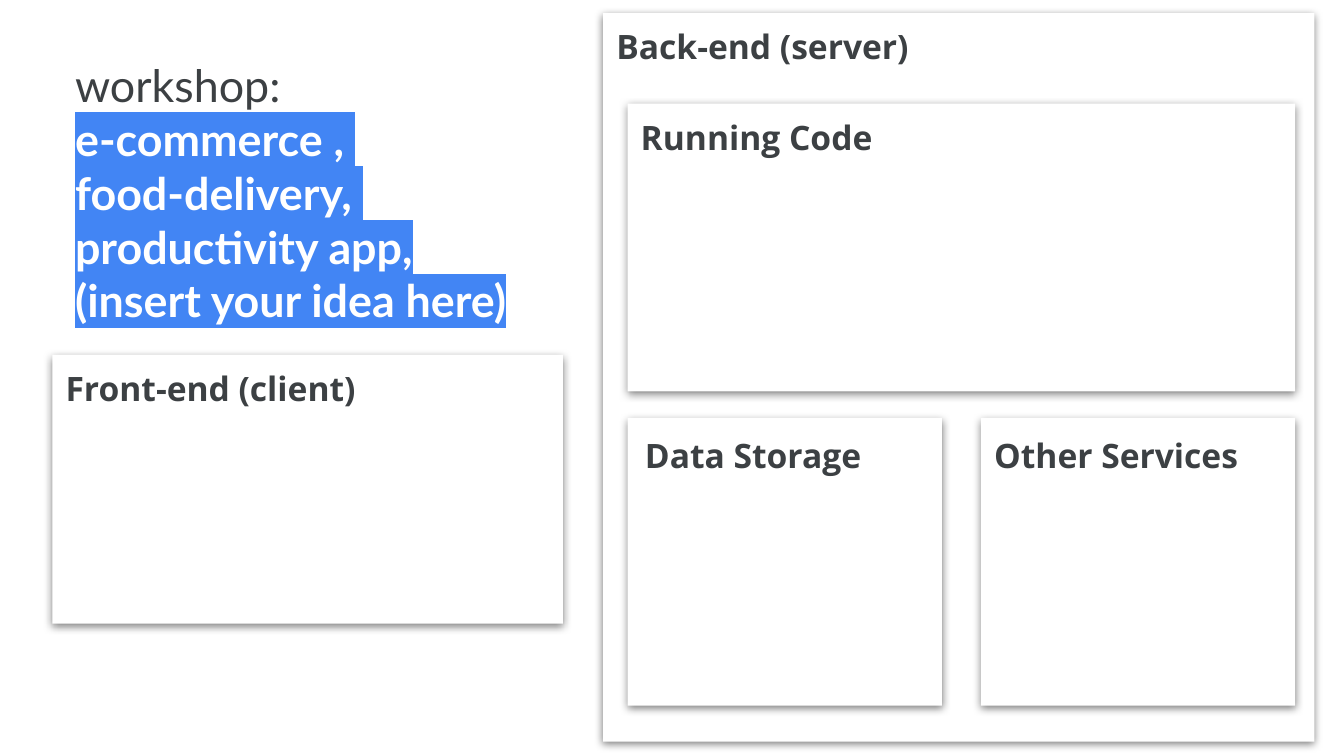
from lxml import etree
from pptx import Presentation
from pptx.dml.color import RGBColor
from pptx.enum.shapes import MSO_SHAPE
from pptx.oxml.ns import qn
from pptx.util import Cm, Pt

RECT = MSO_SHAPE.RECTANGLE
DARK, WHITE, BLUE = "3C4043", "FFFFFF", "4285F4"


def rgb(value):
    return RGBColor.from_string(value)


def add_colour(parent, value):
    return etree.SubElement(parent, qn("a:srgbClr"), val=value)


prs = Presentation()
prs.slide_width, prs.slide_height = Cm(25.4), Cm(14.29)
s = prs.slides.add_slide(prs.slide_layouts[6])

# Workshop title with the highlighted ideas
tf = s.shapes.add_textbox(Cm(1.42), Cm(1.1), Cm(16.28), Cm(5.44)).text_frame
tf.word_wrap = True
tf.margin_left = tf.margin_top = tf.margin_bottom = 0
tf.margin_right = Cm(0.64)
tf.text = "\n".join(["workshop:", "e-commerce , ", "food-delivery, ",
                     "productivity app,", "(insert your idea here)"])
for i, p in enumerate(tf.paragraphs):
    r = p.runs[0]
    r.font.size = Pt(24)
    r.font.color.rgb = rgb(WHITE if i else DARK)
    r.font.name = "Lato"
    if i:
        r.font.bold = True
        highlight = etree.Element(qn("a:highlight"))
        add_colour(highlight, BLUE)
        r.font._element.find(qn("a:solidFill")).addnext(highlight)

# Architecture panels: label, left, top, width, height, label offset x and y
LEFT, RIGHT = 11.86, 18.54
HALF, INNER_H = 5.94, 5.44
panels = [
    ("Front-end (client)", 0.99, 6.71, 9.65, 5.08, 0, 0),
    ("Back-end (server)", 11.4, 0.25, 13.44, 13.77, 0, 0),
    ("Running Code", LEFT, 1.96, RIGHT + HALF - LEFT, INNER_H, 0, 0),
    ("Data Storage", LEFT, 7.9, HALF, INNER_H, 0.08, 0.08),
    ("Other Services", RIGHT, 7.9, HALF, INNER_H, 0, 0.08),
]
for label, x, y, w, h, dx, dy in panels:
    sp = s.shapes.add_shape(RECT, Cm(x), Cm(y), Cm(w), Cm(h))
    sp.fill.solid()
    sp.fill.fore_color.rgb = rgb(WHITE)
    sp.line.fill.background()
    sp.shadow.inherit = False
    effects = sp._element.spPr.find(qn("a:effectLst"))
    shadow = etree.SubElement(effects, qn("a:outerShdw"), blurRad=str(Pt(4.5)),
                              dist=str(Pt(1.5)), dir="5400000",
                              algn="bl", rotWithShape="0")
    etree.SubElement(add_colour(shadow, "000000"), qn("a:alpha"), val="50000")

    tf = s.shapes.add_textbox(Cm(x + dx), Cm(y + dy), Cm(min(w - dx, 6.6)), Cm(1)).text_frame
    tf.word_wrap = True
    tf.margin_left = tf.margin_top = tf.margin_right = tf.margin_bottom = Cm(0.25)
    tf.text = label
    r = tf.paragraphs[0].runs[0]
    r.font.size = Pt(18)
    r.font.bold = True
    r.font.color.rgb = rgb(DARK)
    r.font.name = "Open Sans"

prs.save("out.pptx")
